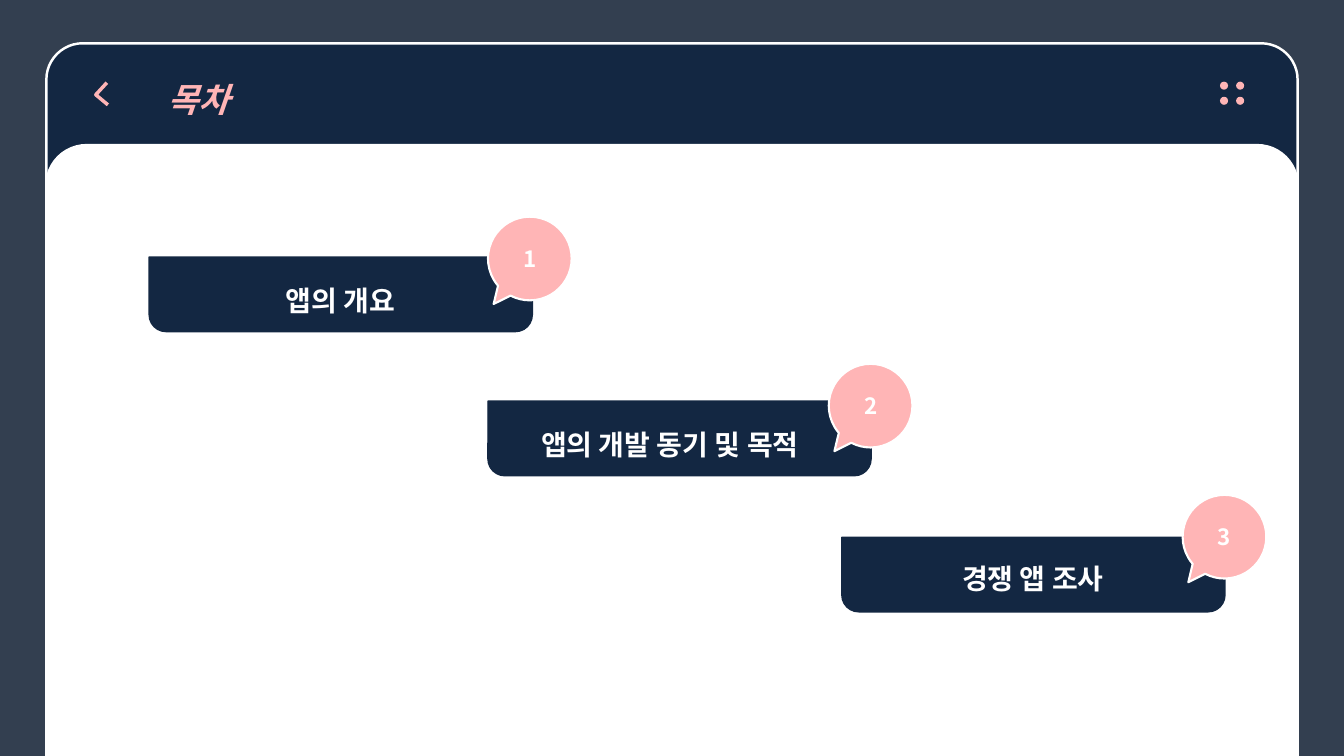
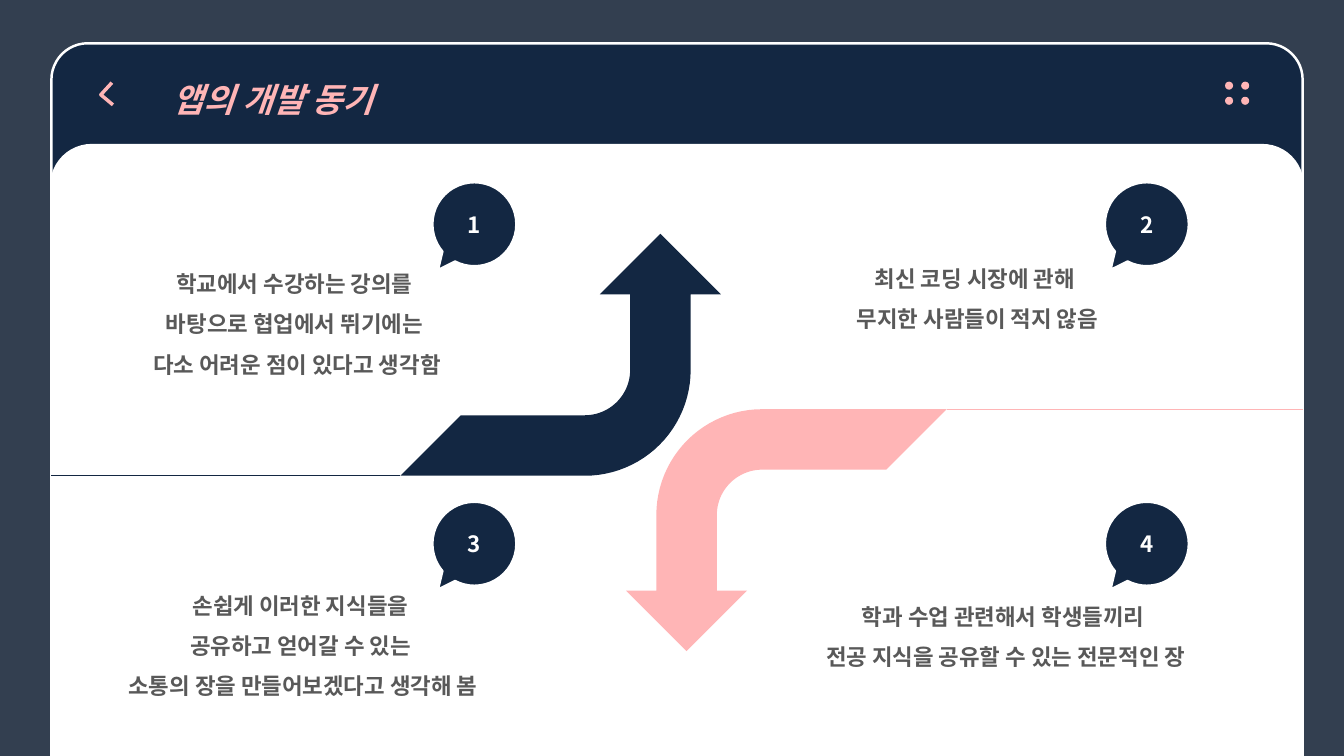
"""Build two app-style slides: a table of contents and the motives for the app."""
from math import cos, radians, sin

from lxml import etree
from pptx import Presentation
from pptx.dml.color import RGBColor
from pptx.enum.shapes import MSO_CONNECTOR, MSO_SHAPE
from pptx.enum.text import MSO_ANCHOR, MSO_AUTO_SIZE, PP_ALIGN
from pptx.oxml.ns import qn
from pptx.util import Inches, Pt

PANEL = MSO_SHAPE.ROUND_2_SAME_RECTANGLE
OVAL = MSO_SHAPE.OVAL
CALLOUT = MSO_SHAPE.OVAL_CALLOUT
STRAIGHT = MSO_CONNECTOR.STRAIGHT
LEFT, CENTER = PP_ALIGN.LEFT, PP_ALIGN.CENTER
TOP, MIDDLE = MSO_ANCHOR.TOP, MSO_ANCHOR.MIDDLE
GROW = MSO_AUTO_SIZE.SHAPE_TO_FIT_TEXT

FONT = "Noto Sans CJK KR"
SLATE, NAVY, PINK = "333F50", "132742", "FFB5B6"
WHITE, GRAY = "FFFFFF", "595959"


def rgb(color):
    return RGBColor.from_string(color)


def arc(cx, cy, radius, start, end, steps=24):
    angles = [radians(start + (end - start) * i / steps) for i in range(steps + 1)]
    return [(cx + radius * cos(a), cy + radius * sin(a)) for a in angles]


class Deck:
    """Holds the presentation, its style and the current slide."""

    def __init__(self):
        self.prs = Presentation()
        self.prs.slide_width, self.prs.slide_height = Inches(13.33), Inches(7.5)
        self.s = None

    def paint(self, sp, fill, line, width):
        sp.shadow.inherit = False
        if fill:
            sp.fill.solid()
            sp.fill.fore_color.rgb = rgb(fill)
        else:
            sp.fill.background()
        if line:
            sp.line.color.rgb = rgb(line)
            sp.line.width = Pt(width)
        else:
            sp.line.fill.background()
        return sp

    def style_text(self, p, text, size, color, align=CENTER, spacing=None, italic=None):
        p.text = text
        p.alignment = align
        p.line_spacing = spacing
        f = p.font
        f.size, f.bold, f.italic, f.name = Pt(size), True, italic, FONT
        f.color.rgb = rgb(color)
        etree.SubElement(p._p.pPr.find(qn("a:defRPr")), qn("a:ea"), typeface=FONT)

    def shape(self, kind, x, y, w, h, fill, line=None, width=1, adj=()):
        sp = self.s.shapes.add_shape(kind, Inches(x), Inches(y), Inches(w), Inches(h))
        for i, value in enumerate(adj):
            sp.adjustments[i] = value
        return self.paint(sp, fill, line, width)

    def outline(self, points, fill=None, line=None, width=1, close=True):
        pts = [(Inches(x), Inches(y)) for x, y in points]
        builder = self.s.shapes.build_freeform(*pts[0])
        builder.add_line_segments(pts[1:], close=close)
        return self.paint(builder.convert_to_shape(), fill, line, width)

    def rule(self, start, end, color):
        x1, y1, x2, y2 = map(Inches, (*start, *end))
        c = self.s.shapes.add_connector(STRAIGHT, x1, y1, x2, y2)
        c.line.color.rgb = rgb(color)
        c.line.width = Pt(0.5)
        etree.SubElement(c._element.spPr, qn("a:effectLst"))

    def text(self, x, y, w, h, text, size, color):
        tb = self.s.shapes.add_textbox(Inches(x), Inches(y), Inches(w), Inches(h))
        tf = tb.text_frame
        tf.word_wrap = True
        tf.auto_size = GROW
        self.style_text(tf.paragraphs[0], text, size, color, spacing=1.5)

    def bubble(self, x, y, number, fill):
        sp = self.shape(CALLOUT, x, y, 0.83, 0.83, fill, WHITE, 1.5, (-0.432, 0.544))
        tf = sp.text_frame
        tf.word_wrap = False
        tf.vertical_anchor = MIDDLE
        self.style_text(tf.paragraphs[0], str(number), 16, WHITE)

    def slide(self, title, x):
        self.s = self.prs.slides.add_slide(self.prs.slide_layouts[6])
        self.s.background.fill.solid()
        self.s.background.fill.fore_color.rgb = rgb(SLATE)
        header = self.shape(PANEL, x, 0.43, 12.41, 7.07, NAVY, WHITE, 1.75, (0.051, 0))
        tf = header.text_frame
        tf.vertical_anchor = TOP
        p = tf.paragraphs[0]
        self.style_text(p, title, 24, PINK, LEFT, 1.5, True)
        p._p.pPr.set("marL", str(Inches(1)))
        p._p.pPr.set("indent", "0")
        self.shape(PANEL, x, 1.44, 12.41, 6.06, WHITE, WHITE, 1.75, (0.066, 0))
        chevron = [(x + 0.6, 0.82), (x + 0.49, 0.94), (x + 0.61, 1.04)]
        self.outline(chevron, line=PINK, width=2.5, close=False)
        for row in range(2):
            for col in range(2):
                self.shape(OVAL, x + 11.64 + 0.16 * col, 0.81 + 0.15 * row,
                           0.08, 0.08, PINK)


deck = Deck()

deck.slide("목차", 0.46)
CONTENTS = [
    ("앱의 개요", 1.48, 2.55, 1.79, 2.6, 4.84, 2.15),
    ("앱의 개발 동기 및 목적", 4.84, 3.98, 5.06, 4.03, 8.22, 3.61),
    ("경쟁 앱 조사", 8.35, 5.33, 8.66, 5.36, 11.73, 4.91),
]
for number, (label, x, y, text_x, text_y, bubble_x, bubble_y) in enumerate(CONTENTS, 1):
    deck.shape(PANEL, x, y, 3.8, 0.74, NAVY, NAVY, 1, (0, 0.226))
    deck.text(text_x, text_y, 3.17, 0.54, label, 20, WHITE)
    deck.bubble(bubble_x, bubble_y, number, PINK)

deck.slide("앱의 개발 동기", 0.51)
up_arrow = [
    (6.55, 2.32), (7.15, 2.92), (6.85, 2.92), *arc(5.8, 3.67, 1.05, 0, 90),
    (3.97, 4.72), (4.57, 4.12), *arc(5.8, 3.67, 0.45, 90, 0),
    (6.25, 2.92), (5.95, 2.92),
]
down_arrow = [(13.36 - x, 8.78 - y) for x, y in up_arrow]
deck.outline(up_arrow, NAVY)
deck.rule((3.97, 4.72), (0.51, 4.72), NAVY)
deck.outline(down_arrow, PINK)
deck.rule((9.39, 4.06), (12.92, 4.06), PINK)

MOTIVES = [
    ("학교에서 수강하는 강의를 \n바탕으로 협업에서 뛰기에는 \n다소 어려운 점이 있다고 생각함",
     1.24, 2.5, 3.41, 1.26),
    ("최신 코딩 시장에 관해 \n무지한 사람들이 적지 않음", 8.11, 2.45, 3.17, 0.86),
    ("손쉽게 이러한 지식들을 \n공유하고 얻어갈 수 있는 \n소통의 장을 만들어보겠다고 생각해 봄",
     0.93, 5.69, 4.15, 1.26),
    ("학과 수업 관련해서 학생들끼리 \n전공 지식을 공유할 수 있는 전문적인 장",
     7.8, 5.8, 4.35, 0.86),
]
for i, (motive, *box) in enumerate(MOTIVES):
    row, col = divmod(i, 2)
    deck.text(*box, motive, 16, GRAY)
    deck.bubble(4.29 + 6.67 * col, 1.81 + 3.17 * row, i + 1, NAVY)

deck.prs.save("out.pptx")
